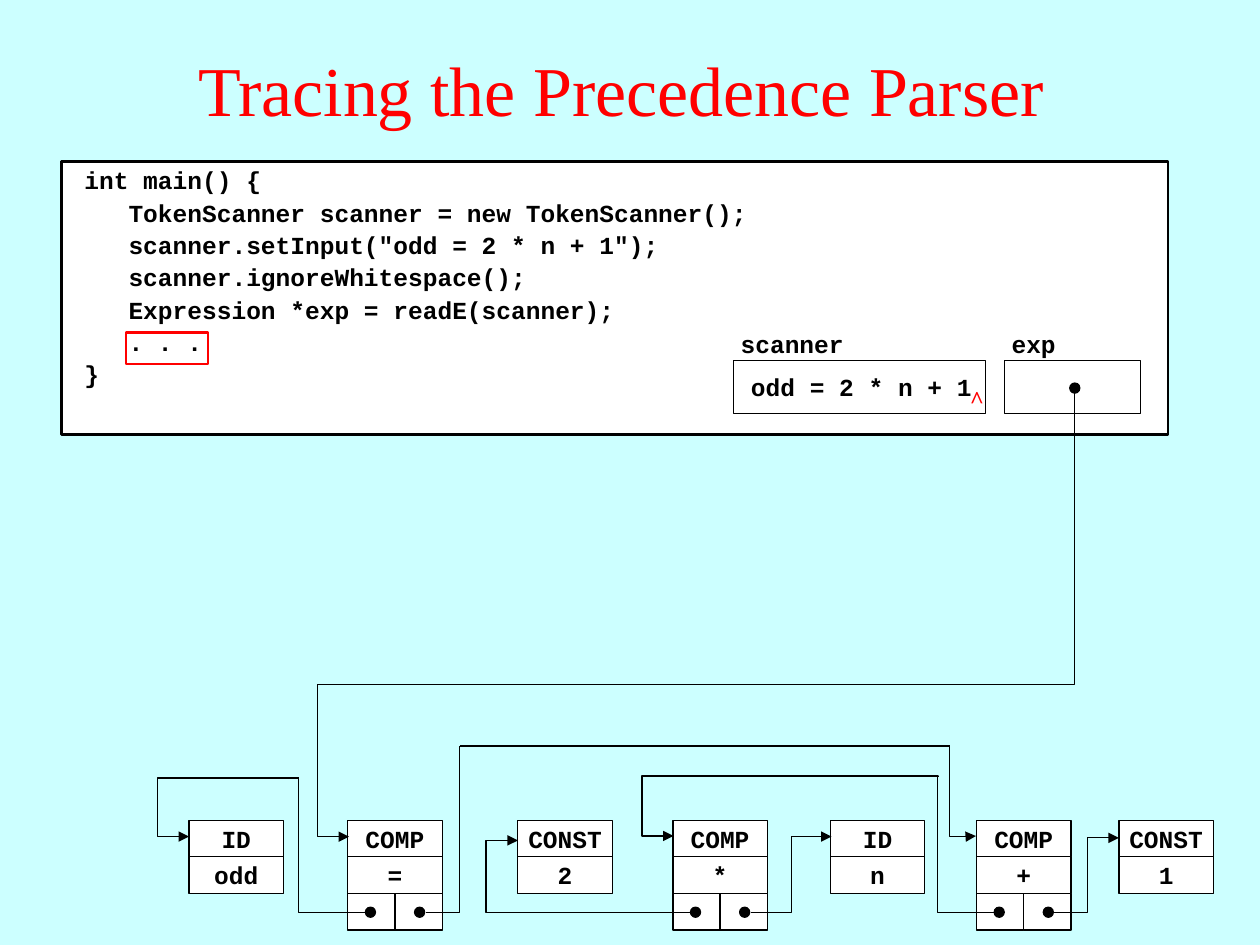
import lxml.etree
import pptx
import pptx.dml.color
import pptx.enum.shapes
import pptx.enum.text
import pptx.oxml.ns
import pptx.util

Inches = pptx.util.Inches
Pt = pptx.util.Pt
qn = pptx.oxml.ns.qn
ALIGN = pptx.enum.text.PP_ALIGN
ANCHOR = pptx.enum.text.MSO_ANCHOR
SHAPE = pptx.enum.shapes.MSO_SHAPE
CONNECTOR = pptx.enum.shapes.MSO_CONNECTOR

COLORS = {"sky": "CCFFFF", "red": "FF0000", "black": "000000", "white": "FFFFFF"}
rgb = {name: pptx.dml.color.RGBColor.from_string(value) for name, value in COLORS.items()}

TITLE_FONT = {"name": "Times New Roman", "size": Pt(40), "bold": False}
CODE_FONT = {"name": "Courier New", "size": Pt(14), "bold": True}
CURSOR_FONT = {"name": "Times New Roman", "size": Pt(14), "bold": True}

LABEL = {"word_wrap": True, "vertical_anchor": ANCHOR.TOP}
CENTERED = {"word_wrap": False, "vertical_anchor": ANCHOR.MIDDLE,
            "margin_left": 0, "margin_right": 0, "margin_top": 0, "margin_bottom": 0}
CODE_FRAME = {"word_wrap": True, "vertical_anchor": ANCHOR.TOP,
              "margin_left": Inches(0.18), "margin_top": Inches(0.01)}
INPUT_FRAME = {**CENTERED, "margin_left": Inches(0.14)}

presentation = pptx.Presentation()
presentation.slide_width = Inches(10)
presentation.slide_height = Inches(7.5)
slide = presentation.slides.add_slide(presentation.slide_layouts[5])
slide.background.fill.solid()
slide.background.fill.fore_color.rgb = rgb["sky"]


def write(frame, lines, frame_format, font_format, color="black", align=ALIGN.LEFT, spacing=1.0):
    for key, value in frame_format.items():
        setattr(frame, key, value)
    for number, line in enumerate(lines):
        paragraph = frame.paragraphs[0] if number == 0 else frame.add_paragraph()
        paragraph.text = line
        paragraph.alignment = align
        paragraph.line_spacing = spacing
        for key, value in font_format.items():
            setattr(paragraph.font, key, value)
        paragraph.font.color.rgb = rgb[color]


def draw(kind, left, top, width, height, fill="white", line="black", weight=0.75):
    shape = slide.shapes.add_shape(kind, Inches(left), Inches(top), Inches(width), Inches(height))
    shape.shadow.inherit = False
    if fill:
        shape.fill.solid()
        shape.fill.fore_color.rgb = rgb[fill]
    else:
        shape.fill.background()
    shape.line.color.rgb = rgb[line]
    shape.line.width = Pt(weight)
    return shape


title = slide.shapes.title
title_place = {"left": Inches(0), "top": Inches(0.08), "width": Inches(9.86), "height": Inches(1.25)}
for key, value in title_place.items():
    setattr(title, key, value)
write(title.text_frame, ["Tracing the Precedence Parser"], {"vertical_anchor": ANCHOR.MIDDLE},
      TITLE_FONT, "red", ALIGN.CENTER)

program = [
    "int main() {",
    "   TokenScanner scanner = new TokenScanner();",
    '   scanner.setInput("odd = 2 * n + 1");',
    "   scanner.ignoreWhitespace();",
    "   Expression *exp = readE(scanner);",
    "   . . .",
    "}",
]
main_frame = draw(SHAPE.RECTANGLE, 0.49, 1.28, 8.78, 2.17, weight=1.5)
write(main_frame.text_frame, program, CODE_FRAME, CODE_FONT, spacing=1.1)

CELL_WIDTH, CELL_HEIGHT, NODE_TOP = 0.75, 0.29, 6.51
nodes = [
    (1.5, "ID", "odd"),
    (2.76, "COMP", "="),
    (4.11, "CONST", "2"),
    (5.34, "COMP", "*"),
    (6.59, "ID", "n"),
    (7.75, "COMP", "+"),
    (8.88, "CONST", "1"),
]
dots = [(8.49, 3.04)]
for node_left, node_type, node_value in nodes:
    for row, content in enumerate((node_type, node_value)):
        cell = draw(SHAPE.RECTANGLE, node_left, NODE_TOP + row * CELL_HEIGHT, CELL_WIDTH, CELL_HEIGHT)
        write(cell.text_frame, [content], CENTERED, CODE_FONT, align=ALIGN.CENTER)
    if node_type == "COMP":
        for side in range(2):
            draw(SHAPE.RECTANGLE, node_left + side * CELL_WIDTH / 2, NODE_TOP + 2 * CELL_HEIGHT,
                 CELL_WIDTH / 2, CELL_HEIGHT)
            dots.append((node_left + 0.14 + side * 0.39, 7.2))

variables = [("scanner", 5.82, 2), ("exp", 7.97, 1.08)]
variable_boxes = {}
for name, left, width in variables:
    variable_boxes[name] = draw(SHAPE.RECTANGLE, left, 2.86, width, 0.42, fill=None)
    label = slide.shapes.add_textbox(Inches(left - 0.04), Inches(2.54), Inches(1.18), Inches(0.36))
    write(label.text_frame, [name], LABEL, CODE_FONT, spacing=1.1)
write(variable_boxes["scanner"].text_frame, ["odd = 2 * n + 1"], INPUT_FRAME, CODE_FONT)

cursor = slide.shapes.add_textbox(Inches(7.6), Inches(3), Inches(0.33), Inches(0.34))
write(cursor.text_frame, ["^"], LABEL, CURSOR_FONT, "red")
draw(SHAPE.RECTANGLE, 1, 2.64, 0.65, 0.25, fill=None, line="red", weight=1.5)

pointers = [
    ("bentConnector3", (5.96, 7.24), (6.6, 6.64), 0, [50000], True),
    ("bentConnector3", (4.11, 6.67), (5.49, 7.24), 180, [118300], True),
    ("bentConnector3", (8.36, 7.24), (8.88, 6.65), 0, [52200], True),
    ("bentConnector2", (7.44, 6.17), (7.89, 7.24), 180, [], False),
    ("bentConnector4", (6.16, 5.35), (6.63, 7.45), 90, [-1300, 111900], True),
    ("bentConnector2", (3.38, 7.24), (3.65, 5.92), 0, [], False),
    ("line", (3.65, 5.92), (7.54, 5.92), 0, [], False),
    ("bentConnector4", (8, 6.17), (7.28, 6.38), 270, [100700, 90000], True),
    ("bentConnector2", (2.37, 6.17), (2.91, 7.24), 180, [], False),
    ("bentConnector4", (1.7, 5.97), (2.17, 6.84), 90, [1300, 128600], True),
    ("bentConnector4", (3.89, 2), (7.41, 7.76), 90, [65700, 104300], True),
]
for preset, start, end, rotation, bends, has_head in pointers:
    kind = CONNECTOR.STRAIGHT if preset == "line" else CONNECTOR.ELBOW
    pointer = slide.shapes.add_connector(kind, *[Inches(value) for value in start + end])
    pointer.line.color.rgb = rgb["black"]
    pointer.line.width = Pt(0.75)
    properties = pointer.element.spPr
    if rotation:
        properties.find(qn("a:xfrm")).set("rot", str(rotation * 60000))
    geometry = properties.find(qn("a:prstGeom"))
    geometry.set("prst", preset)
    for number, bend in enumerate(bends, 1):
        lxml.etree.SubElement(geometry.find(qn("a:avLst")), qn("a:gd"),
                              name=f"adj{number}", fmla=f"val {bend}")
    if has_head:
        lxml.etree.SubElement(properties.find(qn("a:ln")), qn("a:tailEnd"), type="triangle")
    lxml.etree.SubElement(properties, qn("a:effectLst"))

for left, top in dots:
    draw(SHAPE.OVAL, left, top, 0.08, 0.08, fill="black")

presentation.save("out.pptx")
